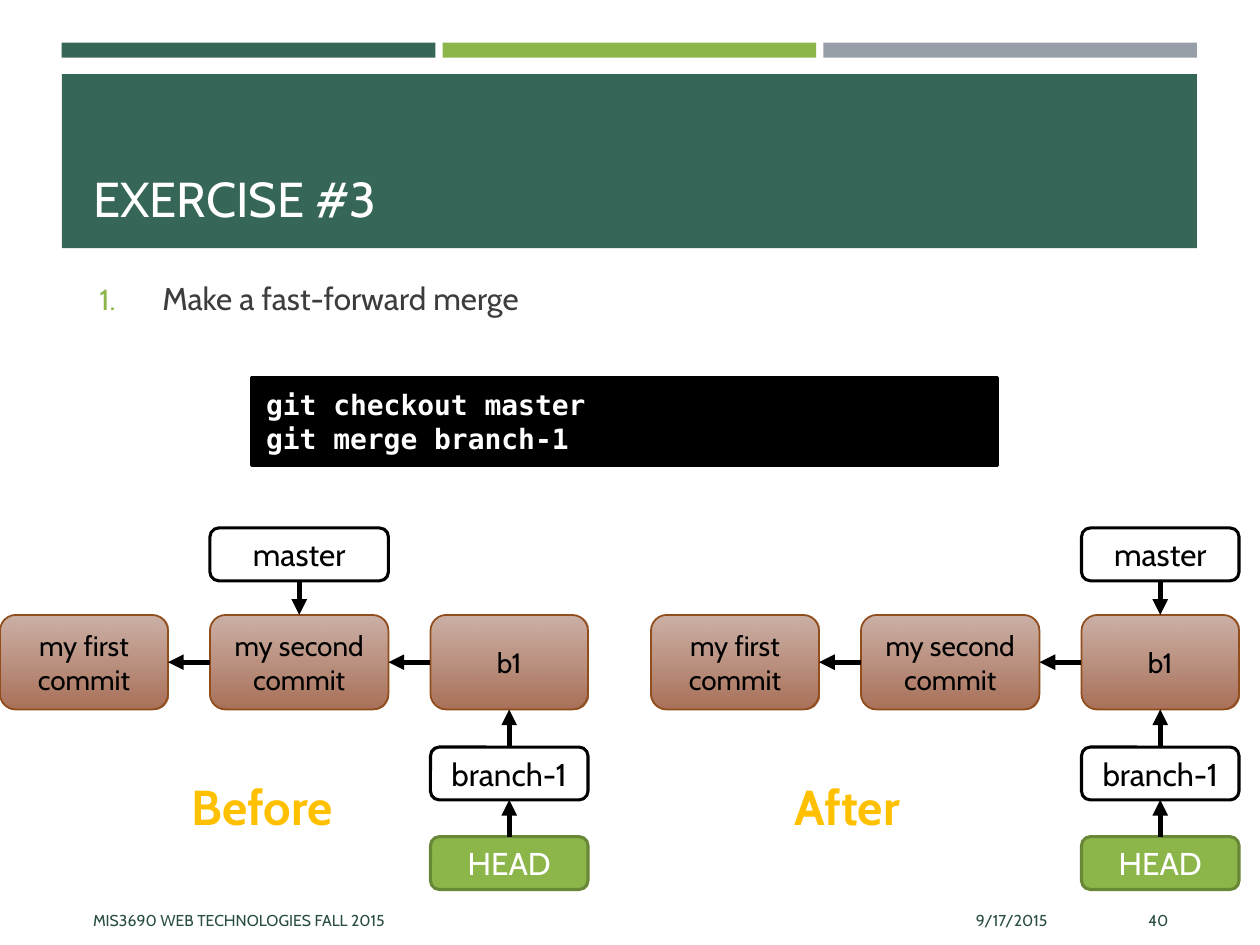
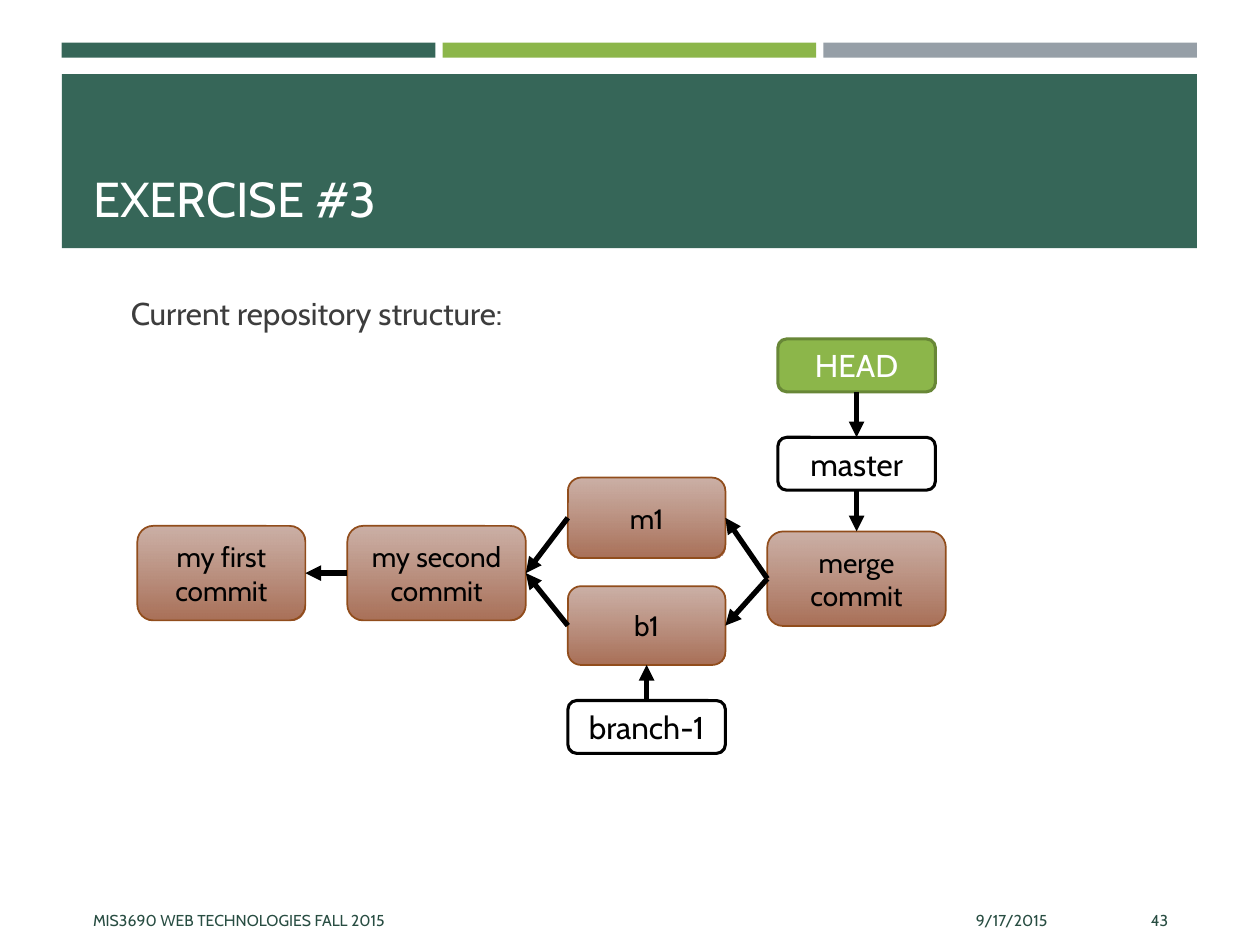
from collections import namedtuple
from dataclasses import dataclass

from lxml.etree import SubElement
from pptx import Presentation
from pptx.dml.color import RGBColor
from pptx.enum.shapes import MSO_CONNECTOR as Connector, MSO_SHAPE as Shape
from pptx.enum.text import MSO_ANCHOR as Anchor, PP_ALIGN as Align
from pptx.oxml.ns import qn
from pptx.util import Pt

Box = namedtuple("Box", "left top width height")
Style = namedtuple("Style", "fill line line_width ink size")

# Connection sites of a rounded rectangle
TOP, LEFT, BOTTOM, RIGHT = range(4)


@dataclass(frozen=True)
class Theme:
    font: str = "Cabin"
    code_font: str = "DejaVu Sans Mono"
    green: str = "366658"
    lime: str = "8CB64A"
    gray: str = "969FA7"
    footer_ink: str = "284D42"
    body_ink: str = "3D3D3D"
    amber: str = "FFC000"
    white: str = "FFFFFF"
    black: str = "000000"
    title_size: float = 28
    body_size: float = 18
    code_size: float = 16
    footer_size: float = 9
    arrow_width: float = 3
    commit_top: str = "C6A79C"
    commit_bottom: str = "A97058"
    commit: Style = Style(None, "914D1C", 1, "000000", 16)
    branch: Style = Style("FFFFFF", "000000", 1.75, "000000", 18)
    head: Style = Style("8CB64A", "688737", 1.75, "FFFFFF", 18)


THEME = Theme()
LABEL_HEIGHT = 30.2
COMMIT_HEIGHT = 54


def rgb(color):
    return RGBColor.from_string(color)


def points(box):
    return [Pt(length) for length in box]


def write(shape, text, size, color, align=Align.LEFT, anchor=Anchor.TOP,
          font=THEME.font, bold=False):
    frame = shape.text_frame
    frame.word_wrap = True
    frame.vertical_anchor = anchor
    frame.text = text
    for para in frame.paragraphs:
        para.alignment = align
        for span in para.runs:
            span.font.name = font
            span.font.size = Pt(size)
            span.font.bold = bold
            span.font.color.rgb = rgb(color)
    return frame


def add_text(page, box, *args, **options):
    return write(page.shapes.add_textbox(*points(box)), *args, **options)


def add_block(page, box, color):
    block = page.shapes.add_shape(Shape.RECTANGLE, *points(box))
    block.shadow.inherit = False
    block.fill.solid()
    block.fill.fore_color.rgb = rgb(color)
    block.line.fill.background()
    return block


def fill_commit(shape):
    """Vertical gradient whose upper stop is slightly transparent."""
    shape.fill.gradient()
    shape.fill.gradient_angle = 270
    upper, lower = shape.fill.gradient_stops
    upper.color.rgb = rgb(THEME.commit_top)
    lower.color.rgb = rgb(THEME.commit_bottom)
    color = next(shape.fill._xPr.iter(qn("a:srgbClr")))
    SubElement(color, qn("a:alpha"), val="90000")


def add_node(page, box, text, style):
    node = page.shapes.add_shape(Shape.ROUNDED_RECTANGLE, *points(box))
    node.shadow.inherit = False
    if style.fill:
        node.fill.solid()
        node.fill.fore_color.rgb = rgb(style.fill)
    else:
        fill_commit(node)
    node.line.color.rgb = rgb(style.line)
    node.line.width = Pt(style.line_width)
    write(node, text, style.size, style.ink, Align.CENTER, Anchor.MIDDLE)
    return node


def add_arrow(page, start, start_site, end, end_site):
    arrow = page.shapes.add_connector(Connector.STRAIGHT, 0, 0, 0, 0)
    arrow.begin_connect(start, start_site)
    arrow.end_connect(end, end_site)
    arrow.line.color.rgb = rgb(THEME.black)
    arrow.line.width = Pt(THEME.arrow_width)
    SubElement(arrow.line._get_or_add_ln(), qn("a:tailEnd"), type="triangle")
    SubElement(arrow._element.spPr, qn("a:effectLst"))


def add_header(page, box, title):
    gap, bar_height, band_top = 4.1, 8.6, 18
    bar_width = (box.width - 2 * gap) / 3
    for index, color in enumerate((THEME.green, THEME.lime, THEME.gray)):
        left = box.left + index * (bar_width + gap)
        add_block(page, Box(left, box.top, bar_width, bar_height), color)
    band = Box(box.left, box.top + band_top, box.width, box.height - band_top)
    add_block(page, band, THEME.green)
    add_text(page, Box(band.left + 10.8, band.top + 5.8, 629.3, 85), title,
             THEME.title_size, THEME.white, anchor=Anchor.BOTTOM)


def add_footer(page, box, number):
    parts = (
        (0, 383.8, "MIS3690 WEB TECHNOLOGIES FALL 2015", Align.LEFT),
        (391.7, 167.8, "9/17/2015", Align.RIGHT),
        (568.1, 60.5, str(number), Align.RIGHT),
    )
    for left, width, text, align in parts:
        add_text(page, Box(box.left + left, box.top, width, box.height), text,
                 THEME.footer_size, THEME.footer_ink, align, Anchor.MIDDLE)


def add_page(deck, number):
    page = deck.slides.add_slide(deck.slide_layouts[6])
    add_header(page, Box(35.3, 24.4, 648.7, 117.4), "EXERCISE #3")
    add_footer(page, Box(46.1, 511.2, 628.6, 28.8), number)
    return page


def add_body(page, box, text, numbered=False):
    frame = add_text(page, box, text, THEME.body_size, THEME.body_ink)
    properties = frame.paragraphs[0]._p.get_or_add_pPr()
    indent = 36 if numbered else 0
    properties.set("marL", str(Pt(indent + 1.44)))
    properties.set("indent", str(Pt(-indent)))
    if numbered:
        color = SubElement(properties, qn("a:buClr"))
        SubElement(color, qn("a:srgbClr"), val=THEME.lime)
        SubElement(properties, qn("a:buSzPct"), val="92000")
        SubElement(properties, qn("a:buAutoNum"), type="arabicPeriod")


def add_code(page, box, text):
    block = add_block(page, box, THEME.black)
    block.line.color.rgb = rgb(THEME.black)
    block.line.width = Pt(1.75)
    frame = write(block, text, THEME.code_size, THEME.white,
                  font=THEME.code_font, bold=True)
    frame.margin_left = frame.margin_right = Pt(8.6)
    frame.margin_top = frame.margin_bottom = Pt(5.8)


def add_first_commits(page, left, top):
    first = add_node(page, Box(left, top, 96, COMMIT_HEIGHT),
                     "my first commit", THEME.commit)
    second = add_node(page, Box(left + 120, top, 102, COMMIT_HEIGHT),
                      "my second commit", THEME.commit)
    add_arrow(page, second, LEFT, first, RIGHT)
    return second


def add_linear_history(page, box, merged):
    """Three commits in a row; master points at the last one once merged."""
    commit_top = box.top + 49.7
    second = add_first_commits(page, box.left, commit_top)
    left, width = box.left + 246, 90
    tip = add_node(page, Box(left, commit_top, width, COMMIT_HEIGHT),
                   "b1", THEME.commit)
    add_arrow(page, tip, LEFT, second, RIGHT)

    master_box = (Box(left, box.top, width, LABEL_HEIGHT) if merged
                  else Box(box.left + 120, box.top, 102, LABEL_HEIGHT))
    master = add_node(page, master_box, "master", THEME.branch)
    add_arrow(page, master, BOTTOM, tip if merged else second, TOP)

    target = tip
    for top, text, style in ((125.2, "branch-1", THEME.branch),
                             (176.4, "HEAD", THEME.head)):
        label = add_node(page, Box(left, box.top + top, width, LABEL_HEIGHT),
                         text, style)
        add_arrow(page, label, TOP, target, BOTTOM)
        target = label


def add_merged_history(page, box):
    """Two parallel commits joined again by a merge commit."""
    def place(left, top, width, height, text, style):
        node_box = Box(box.left + left, box.top + top, width, height)
        return add_node(page, node_box, text, style)

    second = add_first_commits(page, box.left, box.top + 106.8)
    main = place(246, 79.2, 90, 46, "m1", THEME.commit)
    side = place(246, 141.3, 90, 45, "b1", THEME.commit)
    merge = place(360, 110, 102, COMMIT_HEIGHT, "merge commit", THEME.commit)
    branch = place(246, 206.6, 90, LABEL_HEIGHT, "branch-1", THEME.branch)
    head = place(366, 0, 90, LABEL_HEIGHT, "HEAD", THEME.head)
    master = place(366, 56.2, 90, LABEL_HEIGHT, "master", THEME.branch)
    for commit in (main, side):
        add_arrow(page, commit, LEFT, second, RIGHT)
        add_arrow(page, merge, LEFT, commit, RIGHT)
    add_arrow(page, head, BOTTOM, master, TOP)
    add_arrow(page, master, BOTTOM, merge, TOP)
    add_arrow(page, branch, TOP, side, BOTTOM)


def build_fast_forward(deck):
    page = add_page(deck, 40)
    add_body(page, Box(48.2, 156.2, 617.8, 30), "Make a fast-forward merge",
             numbered=True)
    for caption, left, caption_left, merged in (("Before", 0, 102.5, False),
                                                ("After", 372, 447, True)):
        add_linear_history(page, Box(left, 301.7, 336, 206.6), merged)
        add_text(page, Box(caption_left, 440, 110, 41), caption,
                 THEME.title_size, THEME.amber, bold=True)
    add_code(page, Box(143.5, 215.8, 426.5, 50.4),
             "git checkout master\ngit merge branch-1")


def build_repository(deck):
    page = add_page(deck, 43)
    add_body(page, Box(66.2, 164.2, 570.2, 30),
             "Current repository structure:")
    add_merged_history(page, Box(78.5, 193.7, 462, 236.8))


def main():
    deck = Presentation()
    deck.slide_width, deck.slide_height = Pt(720), Pt(540)
    build_fast_forward(deck)
    build_repository(deck)
    deck.save("out.pptx")


if __name__ == "__main__":
    main()
